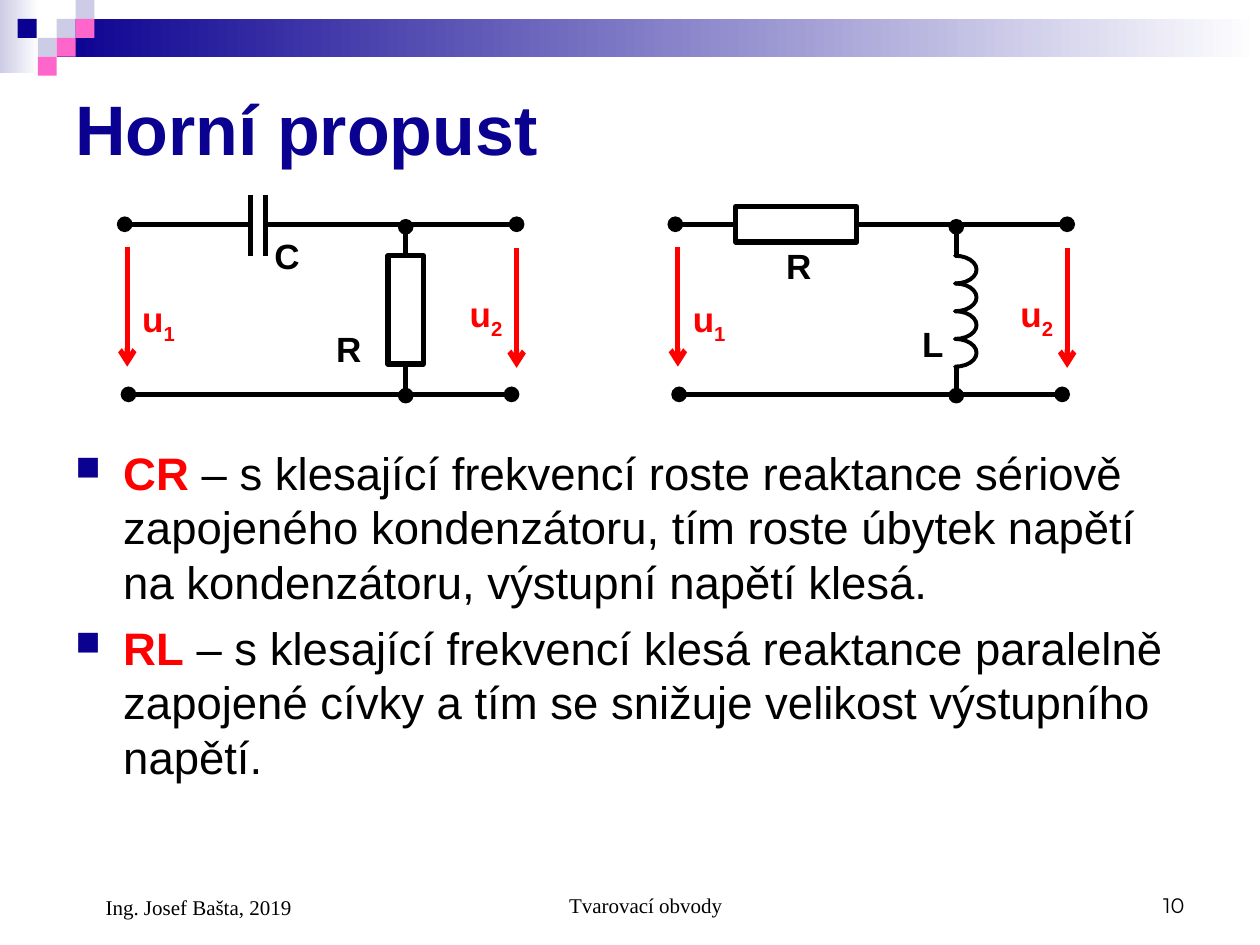
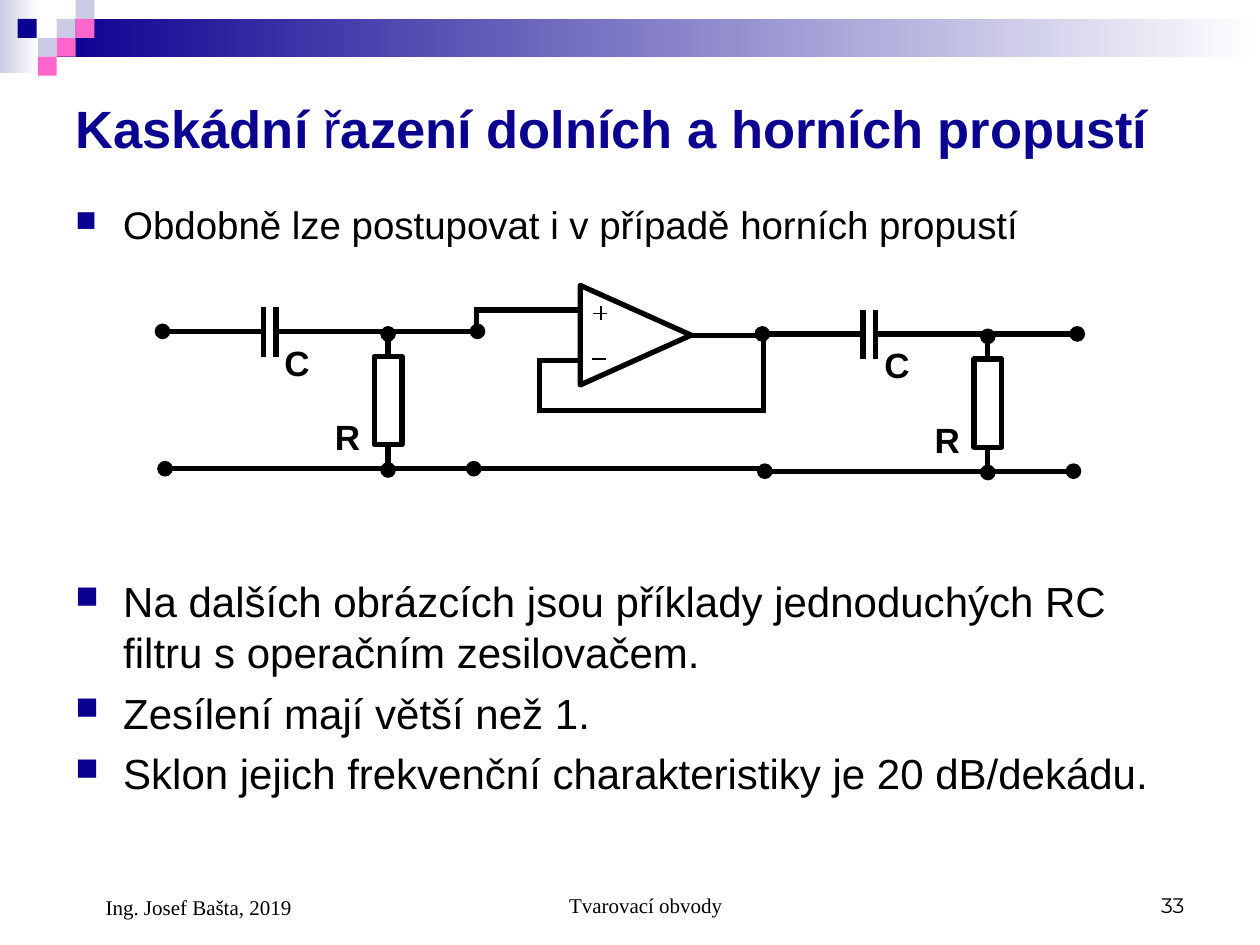
import pptx
import pptx.util
import pptx.dml.color
import pptx.enum.shapes
import pptx.enum.text
import pptx.oxml.ns
from lxml import etree

RGB = pptx.dml.color.RGBColor
NAVY, LILAC, PINK = RGB(0x0B, 0x01, 0x91), RGB(0xCC, 0xCC, 0xE6), RGB(0xFF, 0x66, 0xCC)
BLACK, WHITE, RED = RGB(0, 0, 0), RGB(255, 255, 255), RGB(255, 0, 0)

PX = 9144  # 100 px to the inch
SHAPE = pptx.enum.shapes.MSO_SHAPE
ALIGN = pptx.enum.text.PP_ALIGN
ANCHOR = pptx.enum.text.MSO_ANCHOR

# Content: a run is (text, format)
KEY = {"bold": True, "color": RED}
THIN = {"bold": False}
HIGH_PASS = {
    "title": [("Horní propust", {})], "title_size": 40, "number": "10",
    "bodies": [
        {"box": (50, 348, 900, 313), "size": 26, "before": 6.5, "items": [
            [("CR", KEY), (" – s klesající frekvencí roste reaktance sériově zapojeného "
                           "kondenzátoru, tím roste úbytek napětí na kondenzátoru, "
                           "výstupní napětí klesá.", {})],
            [("RL", KEY), (" – s klesající frekvencí klesá reaktance paralelně zapojené "
                           "cívky a tím se snižuje velikost výstupního napětí.", {})]]},
    ],
}
CASCADE = {
    "title": [("Kaskádní ", {}), ("ř", THIN), ("azení dolních a horních propustí", {})],
    "title_size": 30, "number": "33",
    "bodies": [
        {"box": (50, 159, 900, 55), "size": 22, "before": 5.5, "spacing": 0.9, "items": [
            [("Obdobně lze postupovat i v případě horních propustí", {})]]},
        {"box": (50, 452, 900, 238), "size": 24, "before": 6, "items": [
            [("Na dalších obrázcích jsou příklady jednoduchých RC filtru "
              "s operačním zesilovačem.", {})],
            [("Zesílení mají větší než 1.", {})],
            [("Sklon jejich frekvenční charakteristiky je 20 dB/dekádu.", {})]]},
    ],
}
FOOTERS = [  # text (None = slide number), box, font, alignment, left margin
    ("Tvarovací obvody", (342, 683, 317, 50), "Times New Roman", ALIGN.CENTER, 24),
    (None, (717, 683, 233, 50), "Montserrat", ALIGN.RIGHT, 0),
    ("Ing. Josef Bašta, 2019", (50, 683, 233, 52), "Times New Roman", ALIGN.LEFT, 24),
]
BANDS = [((0, 0, 31, 58), LILAC), ((45, 15, 955, 30), NAVY)]
TILE = 15
TILES = [(45, 15, LILAC), (60, 0, LILAC), (60, 15, PINK), (30, 30, LILAC),
         (14, 15, NAVY), (45, 30, PINK), (30, 45, PINK)]

# Circuit geometry
LARGE = {"left": 99, "right": 410, "top": 178, "bottom": 313, "ground": (102, 406),
         "plates": (199, 211), "plate_ends": (155, 203), "branch": 322,
         "resistor": (28, 86), "C": (208, 181, 46, 44), "R": (257, 255, 46, 44)}
SMALL = {"left": 129, "right": 379, "top": 263, "bottom": 372, "ground": (131, 376),
         "plates": (209, 219), "plate_ends": (244, 283), "branch": 308,
         "resistor": (22, 70), "C": (216, 266, 37, 44), "R": (256, 325, 37, 44)}
VOLTAGES = [("1", (103, 231, 54, 48), 101, 196), ("2", (363, 227, 56, 48), 410, 197)]
VOLTAGE_LENGTH = 95
RL_SHIFT = 437
STAGE_SHIFT = (476, 2)
COIL_TURNS, TURN_PITCH = 4, 22
AMP_INPUTS = [(428, 286, 477, 286), (516, 266, 601, 266)]
AMP_WIRES = [(606, 328, 606, 269), (378, 246, 463, 246), (426, 326, 605, 326),
             (428, 326, 428, 284), (378, 264, 378, 244), (381, 372, 606, 372)]
AMP_SIGNS = [(471, 249, 482, 249), (477, 243, 477, 254), (470, 285, 481, 285)]


def emu(box):
    return [round(v * PX) for v in box]


def sub(parent, tag, **attributes):
    return etree.SubElement(parent, pptx.oxml.ns.qn(tag), attributes)


def shape(slide, kind, box, fill=None, line=None, width=3):
    part = slide.shapes.add_shape(kind, *emu(box))
    part.shadow.inherit = False
    if fill is None:
        part.fill.background()
    else:
        part.fill.solid()
        part.fill.fore_color.rgb = fill
    if line is None:
        part.line.fill.background()
    else:
        part.line.color.rgb = line
        part.line.width = pptx.util.Pt(width)
    return part


def wire(slide, ends, color=BLACK, width=3, head=None, tail=None, joint=None):
    link = slide.shapes.add_connector(pptx.enum.shapes.MSO_CONNECTOR.STRAIGHT, *emu(ends))
    if joint:
        link.begin_connect(*joint)
    link.line.color.rgb = color
    link.line.width = pptx.util.Pt(width)
    for tag, kind in (("a:headEnd", head), ("a:tailEnd", tail)):
        if kind:
            sub(link.line._get_or_add_ln(), tag, type=kind)
    sub(link._element.spPr, "a:effectLst")


def text(slide, box, paragraphs, size, font="Arial", color=BLACK, bold=False,
         anchor=ANCHOR.TOP, align=ALIGN.LEFT, margin=0, bullet=False, before=0, spacing=None):
    frame = slide.shapes.add_textbox(*emu(box)).text_frame
    frame.word_wrap = True
    frame.vertical_anchor = anchor
    for i, runs in enumerate(paragraphs):
        para = frame.add_paragraph() if i else frame.paragraphs[0]
        properties = para._p.get_or_add_pPr()
        properties.set("marL", str(margin * PX))
        if bullet:
            properties.set("indent", str(-margin * PX))
            sub(sub(properties, "a:buClr"), "a:srgbClr", val=str(NAVY))
            sub(properties, "a:buSzPct", val="75000")
            sub(properties, "a:buChar", char="■")
        para.alignment = align
        if spacing:
            para.line_spacing = spacing
        if i:
            para.space_before = pptx.util.Pt(before)
        for words, changes in runs:
            run = para.add_run()
            run.text = words
            look = {"color": color, "bold": bold, **changes}
            run.font.color.rgb = look["color"]
            for name, value in {"name": font, "size": pptx.util.Pt(size),
                                "bold": look["bold"]}.items():
                setattr(run.font, name, value)
            if "baseline" in look:
                run.font._element.set("baseline", look["baseline"])


def label(slide, box, runs, color=BLACK):
    text(slide, box, [runs], 20, color=color, bold=True)


def base_slide(deck, content):
    slide = deck.slides.add_slide(deck.slide_layouts[6])
    # Header bands and tiles
    for box, color in BANDS:
        band = shape(slide, SHAPE.RECTANGLE, box, color)
        band.fill.gradient()
        band.fill.gradient_angle = 0
        for stop, shade, position in zip(band.fill.gradient_stops, (color, WHITE), (0, 1)):
            stop.color.rgb = shade
            stop.position = position
    for x, y, color in TILES:
        shape(slide, SHAPE.RECTANGLE, (x, y, TILE, TILE), color)
    # Title, bullets, footers
    text(slide, (50, 50, 900, 103), [content["title"]], content["title_size"],
         color=NAVY, bold=True, anchor=ANCHOR.MIDDLE)
    for body in content["bodies"]:
        text(slide, body["box"], body["items"], body["size"], margin=38, bullet=True,
             before=body["before"], spacing=body.get("spacing"))
    for words, box, font, align, margin in FOOTERS:
        text(slide, box, [[(words or content["number"], {})]], 12, font,
             anchor=ANCHOR.BOTTOM, align=align, margin=margin)
    return slide


def ground(slide, g, dx=0, dy=0):
    start, end = g["ground"]
    y = g["bottom"] + dy
    wire(slide, (end + dx, y, start + dx, y), head="oval", tail="oval")


def cr_stage(slide, g, dx=0, dy=0):
    ground(slide, g, dx, dy)
    # Series capacitor
    y = g["top"] + dy
    upper, lower = g["plate_ends"]
    for plate, terminal in zip(g["plates"], (g["left"], g["right"])):
        wire(slide, (plate + dx, y, terminal + dx, y), tail="oval")
        wire(slide, (plate + dx, upper + dy, plate + dx, lower + dy))
    # Shunt resistor
    x, top = g["branch"] + dx, lower + dy
    width, height = g["resistor"]
    resistor = shape(slide, SHAPE.RECTANGLE, (x - width // 2, top, width, height), line=BLACK)
    wire(slide, (x, top, x, y + 2), tail="oval", joint=(resistor, 0))
    wire(slide, (x, top + height, x, g["bottom"] + dy + 1), tail="oval", joint=(resistor, 2))
    for name in "CR":
        left, label_top, w, h = g[name]
        label(slide, (left + dx, label_top + dy, w, h), [(name, {})])


def voltages(slide, dx=0):
    for index, (left, top, w, h), x, y in VOLTAGES:
        wire(slide, (x + dx, y, x + dx, y + VOLTAGE_LENGTH), RED, tail="arrow")
        label(slide, (left + dx, top, w, h), [("u", {}), (index, {"baseline": "-25000"})], RED)


def rl_filter(slide, g, dx):
    ground(slide, g, dx)
    # Series resistor
    y = g["top"]
    resistor = shape(slide, SHAPE.RECTANGLE, (584, y - 14, 96, 28), line=BLACK)
    wire(slide, (584, y, g["left"] + dx, y), tail="oval", joint=(resistor, 1))
    wire(slide, (680, y, g["right"] + dx, y), tail="oval", joint=(resistor, 3))
    label(slide, (614, 189, 46, 44), [("R", {})])
    # Shunt coil
    x = g["branch"] + dx
    wire(slide, (x, 203, x, y + 2), tail="oval")
    wire(slide, (x, 291, x, g["bottom"] + 1), tail="oval")
    for turn in range(COIL_TURNS):
        arc = shape(slide, SHAPE.BLOCK_ARC, (747, 197 + turn * TURN_PITCH, 22, 34),
                    WHITE, BLACK, 2.25)
        arc.rotation = 90
        for i, value in enumerate((107.89, 0.11, 0)):
            arc.adjustments[i] = value
    label(slide, (722, 251, 46, 44), [("L", {})])


def follower(slide):
    for ends in AMP_INPUTS:
        wire(slide, ends)
    amplifier = shape(slide, SHAPE.ISOSCELES_TRIANGLE, (465, 222, 79, 88), WHITE, BLACK)
    amplifier.rotation = 90
    for ends in AMP_WIRES:
        wire(slide, ends)
    for ends in AMP_SIGNS:
        wire(slide, ends, width=0.75)


def main():
    deck = pptx.Presentation()
    deck.slide_width, deck.slide_height = emu((1000, 750))

    high_pass = base_slide(deck, HIGH_PASS)
    cr_stage(high_pass, LARGE)
    rl_filter(high_pass, LARGE, RL_SHIFT)
    for dx in (0, RL_SHIFT):
        voltages(high_pass, dx)

    cascade = base_slide(deck, CASCADE)
    follower(cascade)
    for dx, dy in ((0, 0), STAGE_SHIFT):
        cr_stage(cascade, SMALL, dx, dy)

    deck.save("out.pptx")


if __name__ == "__main__":
    main()
